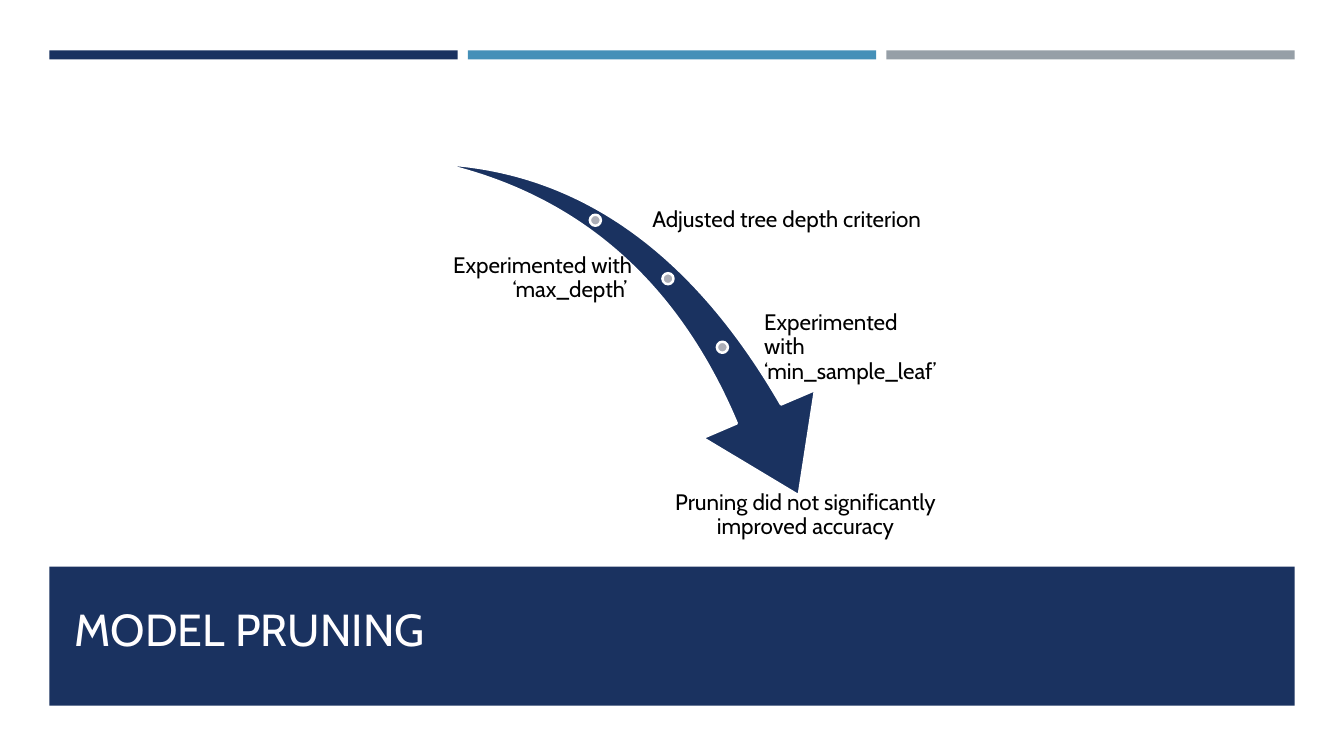
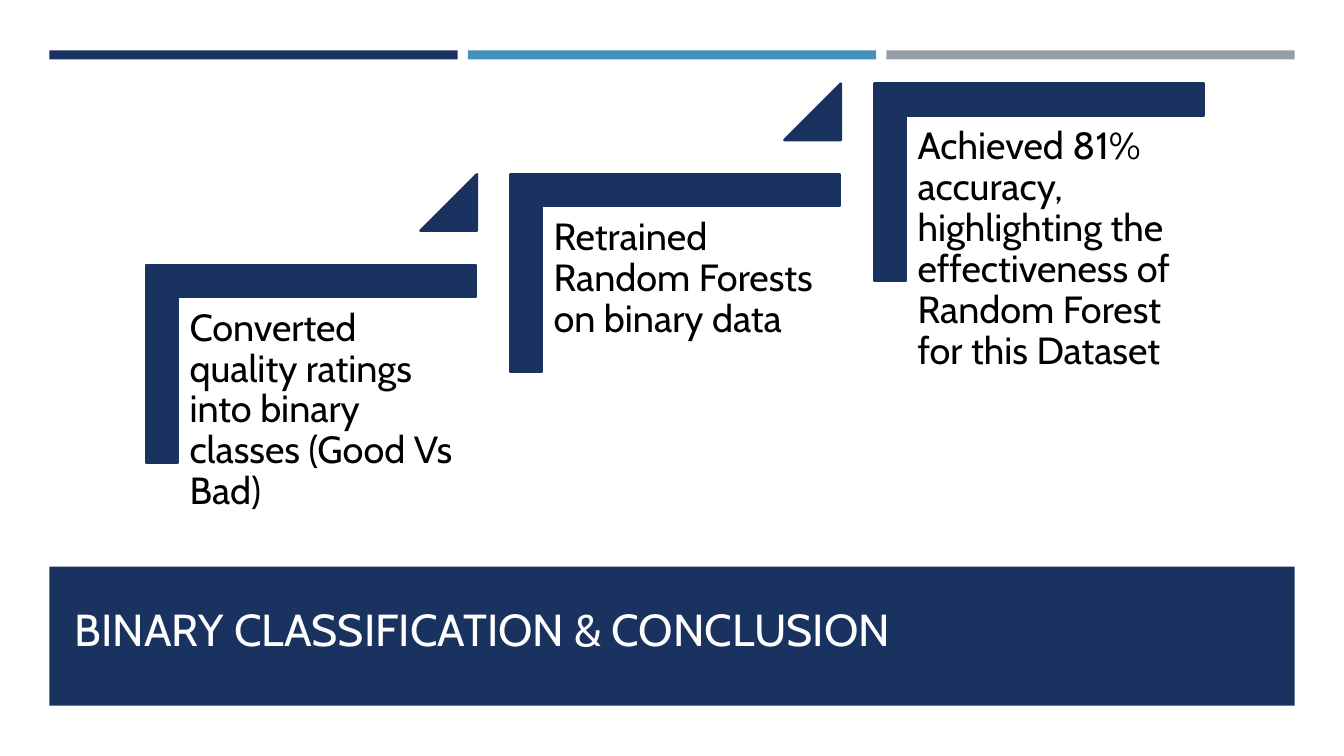
import pptx
import pptx.dml.color
import pptx.enum.shapes
import pptx.enum.text
import pptx.util

Inches = pptx.util.Inches
Pt = pptx.util.Pt
KIND = pptx.enum.shapes.MSO_SHAPE
ALIGN = pptx.enum.text.PP_ALIGN
ANCHOR = pptx.enum.text.MSO_ANCHOR

# Shared look
FONT = "Cabin"
NAVY, BLUE, GREY = "1A3260", "4590B8", "969FA7"
DOT, WHITE, BLACK = "ACAEB7", "FFFFFF", "000000"
EDGE, WIDE = 0.49, 12.35


def color(code):
    return pptx.dml.color.RGBColor.from_string(code)


def add_form(slide, kind, box, fill, line=None, turn=0, adjust=()):
    form = slide.shapes.add_shape(kind, *map(Inches, box))
    form.shadow.inherit = False
    form.fill.solid()
    form.fill.fore_color.rgb = color(fill)
    if line:
        form.line.color.rgb = color(line)
        form.line.width = Pt(1.75)
    else:
        form.line.fill.background()
    form.rotation = turn
    for index, value in enumerate(adjust):
        form.adjustments[index] = value


def add_run(para, text, size, code):
    run = para.add_run()
    run.text = text
    run.font.name = FONT
    run.font.size = Pt(size)
    run.font.color.rgb = color(code)


def add_text(slide, box, text, size, pad, align=ALIGN.LEFT, anchor=ANCHOR.TOP):
    frame = slide.shapes.add_textbox(*map(Inches, box)).text_frame
    frame.word_wrap = True
    frame.vertical_anchor = anchor
    frame.margin_left = frame.margin_right = Inches(pad)
    frame.margin_top = frame.margin_bottom = Inches(pad)
    para = frame.paragraphs[0]
    para.alignment = align
    para.line_spacing = 0.9
    add_run(para, text, size, BLACK)


def add_base(deck, text):
    """Slide with three top bars and a title band."""
    slide = deck.slides.add_slide(deck.slide_layouts[5])
    gap = 0.1
    bar = (WIDE - 2 * gap) / 3
    for index, fill in enumerate((NAVY, BLUE, GREY)):
        left = EDGE + index * (bar + gap)
        add_form(slide, KIND.RECTANGLE, (left, 0.5, bar, 0.09), fill)
    add_form(slide, KIND.RECTANGLE, (EDGE, 5.62, WIDE, 1.38), NAVY)

    # Title, brought in front of its band
    title = slide.shapes.title
    title.left, title.top = Inches(0.64), Inches(5.76)
    title.width, title.height = Inches(12.06), Inches(0.79)
    slide.shapes.element.append(title.element)
    frame = title.text_frame
    frame.word_wrap = True
    frame.vertical_anchor = ANCHOR.BOTTOM
    para = frame.paragraphs[0]
    para.alignment = ALIGN.LEFT
    add_run(para, text, 32, "FFFEFF")
    return slide


def add_swoosh(slide, left, top):
    """Curved arrow with its dots and labels."""
    add_form(slide, KIND.SWOOSH_ARROW, (left + 0.28, top, 4.17, 2.91),
             NAVY, WHITE, 73.3, (0.163, 0.314))
    for x, y in ((1.85, 0.38), (2.57, 0.96), (3.11, 1.64)):
        add_form(slide, KIND.OVAL, (left + x, top + y, 0.11, 0.11), DOT, WHITE)
    labels = (
        (2.45, 0.05, 2.87, 0.77, "Adjusted tree depth criterion",
         ALIGN.LEFT, ANCHOR.MIDDLE),
        (0, 0.63, 2.29, 0.76, "Experimented with ‘max_depth’ ",
         ALIGN.RIGHT, ANCHOR.MIDDLE),
        (3.56, 1.3, 1.77, 0.8, "Experimented with ‘min_sample_leaf’",
         ALIGN.LEFT, ANCHOR.MIDDLE),
        (2.66, 3.1, 2.66, 0.77,
         "Pruning did not significantly improved accuracy",
         ALIGN.CENTER, ANCHOR.TOP),
    )
    for x, y, width, height, text, align, anchor in labels:
        add_text(slide, (left + x, top + y, width, height), text, 16, 0.02,
                 align, anchor)


def add_step(slide, left, top, text, last):
    """Corner bracket with text, and a triangle unless it is the last step."""
    width, height = 3.27, 1.96
    shift = (width - height) / 2
    # The corner is turned upright, so its sides swap about the centre
    add_form(slide, KIND.CORNER, (left + shift, top - shift, height, width),
             NAVY, NAVY, 90, (0.161, 0.161))
    add_text(slide, (left + 0.32, top + 0.32, 2.95, 2.59), text, 27, 0.11)
    if not last:
        add_form(slide, KIND.ISOSCELES_TRIANGLE,
                 (left + 2.72, top - 0.9, 0.56, 0.56), NAVY, NAVY, adjust=(1,))


def add_stairs(slide, left, top, texts):
    """Steps that climb to the right."""
    for index, text in enumerate(texts):
        add_step(slide, left + index * 3.61, top - index * 0.9, text,
                 index == len(texts) - 1)


def main():
    deck = pptx.Presentation()
    deck.slide_width, deck.slide_height = Inches(13.33), Inches(7.5)

    add_swoosh(add_base(deck, "MODEL PRUNING"), 4, 1.75)
    add_stairs(add_base(deck, "BINARY CLASSIFICATION & CONCLUSION"), 1.45, 2.63, (
        "Converted quality ratings into binary classes (Good Vs Bad)",
        "Retrained Random Forests on binary data",
        "Achieved 81% accuracy, highlighting the effectiveness of "
        "Random Forest for this Dataset",
    ))
    deck.save("out.pptx")


if __name__ == "__main__":
    main()
